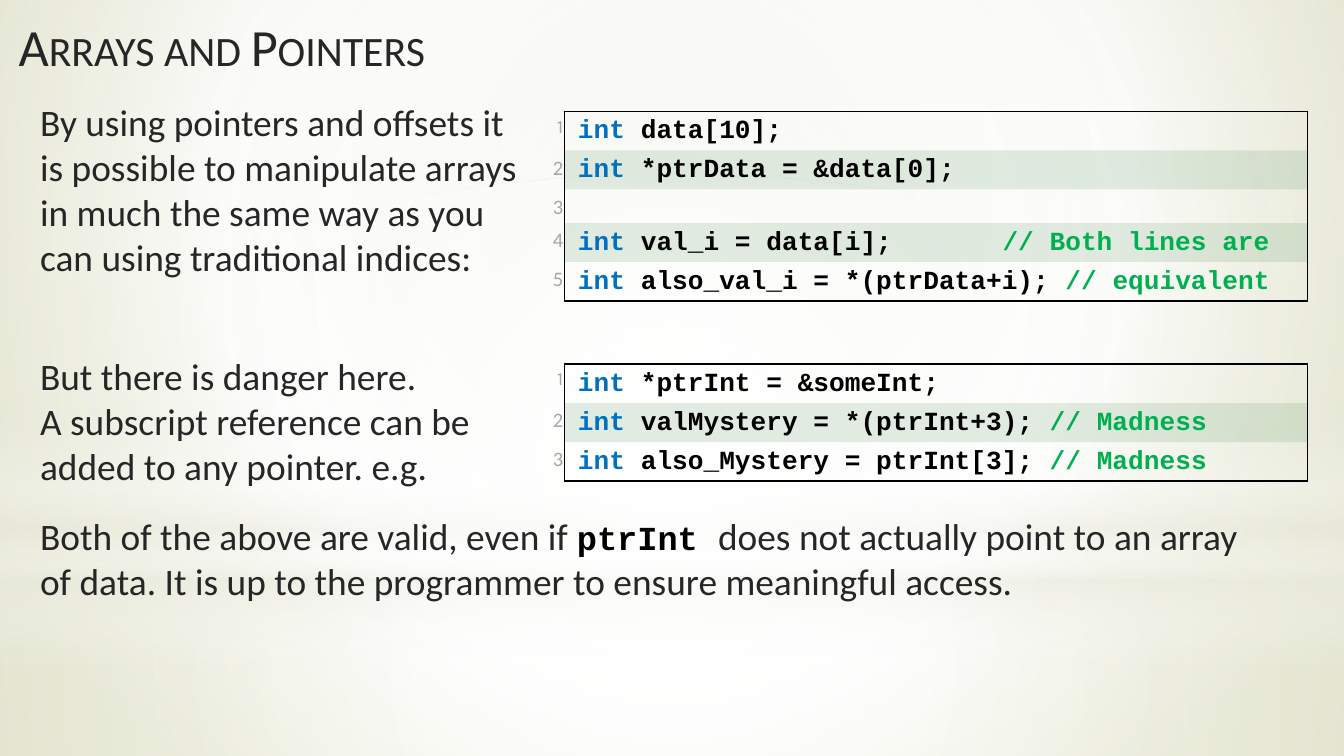
"""Build the "Arrays and Pointers" slide with its two code listings."""
from lxml import etree
from pptx import Presentation
from pptx import util as u
from pptx.dml import color
from pptx.enum import shapes, text
from pptx.oxml import ns

COLOURS = {
    "white": "FFFFFF", "cream": "EAEBDE", "sage": "E3E5D1", "olive": "CCD09F",
    "body": "262626", "code": "000000", "keyword": "0070C0",
    "comment": "00B050", "number": "A6A6A6", "band": "72A376",
}
NO_STYLE = "{2D5ABB26-0587-4C30-8999-92F81FD0307C}"
ROW_HEIGHT, BLANK_HEIGHT = 0.29, 0.25
CENTRE = (50, 50, 50, 50)

ARRAY_CODE = [
    ("int ", "data[10];", ""),
    ("int ", "*ptrData = &data[0];", ""),
    (),
    ("int ", "val_i = data[i];       ", "// Both lines are"),
    ("int ", "also_val_i = *(ptrData+i); ", "// equivalent"),
]
POINTER_CODE = [
    ("int ", "*ptrInt = &someInt;", ""),
    ("int ", "valMystery = *(ptrInt+3); ", "// Madness"),
    ("int ", "also_Mystery = ptrInt[3]; ", "// Madness"),
]


def sub(parent, tag, **attrs):
    """Append a DrawingML child with the given attributes."""
    child = etree.SubElement(parent, ns.qn(tag))
    for key, value in attrs.items():
        child.set(key, str(value))
    return child


def add_run(p, words, size=20, font="Calibri", colour="body", bold=False, small_caps=False):
    """Add formatted text to a paragraph."""
    r = p.add_run()
    r.text = words
    r.font.size, r.font.name, r.font.bold = u.Pt(size), font, bold
    r.font.color.rgb = color.RGBColor.from_string(COLOURS[colour])
    if small_caps:
        r.font._element.set("cap", "small")


def add_box(s, left, top, width, height):
    """Add a wrapping text box and return its first paragraph."""
    tf = s.shapes.add_textbox(*map(u.Inches, (left, top, width, height))).text_frame
    tf.word_wrap = True
    return tf.paragraphs[0]


def set_gradient(fill, element, stops, centre=None):
    """Fill with (position, colour, opacity) stops, circular or top to bottom."""
    fill.gradient()
    grad = next(element.iter(ns.qn("a:gradFill")))
    for child in list(grad):
        grad.remove(child)
    stop_list = sub(grad, "a:gsLst")
    for position, name, opacity in stops:
        stop = sub(stop_list, "a:gs", pos=position * 1000)
        clr = sub(stop, "a:srgbClr", val=COLOURS[name])
        sub(clr, "a:alpha", val=opacity * 1000)
    if centre:
        focus = sub(grad, "a:path", path="circle")
        sub(focus, "a:fillToRect", **{k: v * 1000 for k, v in zip("ltrb", centre)})
    else:
        sub(grad, "a:lin", ang=5400000, scaled=0)


def add_glow(s, kind, top, height, stops, centre=None):
    """Add a full-width translucent gradient shape."""
    sp = s.shapes.add_shape(kind, 0, u.Inches(top), u.Inches(10), u.Inches(height))
    sp.shadow.inherit = False
    sp.line.fill.background()
    set_gradient(sp.fill, sp._element, stops, centre)


def add_backdrop(s):
    """Paint the background and its four layers of light."""
    rect, oval = shapes.MSO_SHAPE.RECTANGLE, shapes.MSO_SHAPE.OVAL
    fill = s.background.fill
    set_gradient(fill, s._element, [(0, "sage", 100), (60, "white", 100), (100, "olive", 100)],
                 (20, 10, 20, 60))
    add_glow(s, rect, 4.19, 1.44, [(0, "white", 91), (37, "white", 76), (100, "cream", 79)], CENTRE)
    add_glow(s, rect, 0, 4.19, [(0, "white", 89), (48, "white", 62), (100, "cream", 79)], CENTRE)
    add_glow(s, rect, 3.09, 1.88, [(0, "white", 0), (29, "white", 30), (45, "cream", 40),
                                   (55, "white", 26), (65, "cream", 60), (100, "white", 0)])
    add_glow(s, oval, 1.31, 4.19, [(0, "white", 100), (56, "white", 0)], CENTRE)


def format_cell(cell, sides, banded=False):
    """Set margins, fill and black borders of a cell; return its paragraph."""
    cell.margin_left = cell.margin_right = cell.margin_top = cell.margin_bottom = u.Inches(0.01)
    props = cell._tc.get_or_add_tcPr()
    for side in sides:
        line = sub(props, "a:ln" + side, w=u.Pt(1))
        sub(sub(line, "a:solidFill"), "a:srgbClr", val=COLOURS["code"])
    if banded:
        clr = sub(sub(props, "a:solidFill"), "a:srgbClr", val=COLOURS["band"])
        sub(clr, "a:alpha", val=20000)
    else:
        sub(props, "a:noFill")
    p = cell.text_frame.paragraphs[0]
    p.line_spacing = 1.15
    return p


def add_listing(s, top, lines):
    """Add a table of numbered code lines, every second one banded."""
    heights = [ROW_HEIGHT if line else BLANK_HEIGHT for line in lines]
    frame = s.shapes.add_table(len(lines), 2, u.Inches(3.35), u.Inches(top),
                               u.Inches(6.38), u.Inches(sum(heights)))
    table = frame.table
    table.first_row = table.horz_banding = False
    next(frame._element.iter(ns.qn("a:tableStyleId"))).text = NO_STYLE
    table.columns[0].width, table.columns[1].width = u.Inches(0.85), u.Inches(5.53)
    for i, line in enumerate(lines):
        table.rows[i].height = u.Inches(heights[i])
        p = format_cell(table.cell(i, 0), "R")
        p.alignment = text.PP_ALIGN.RIGHT
        add_run(p, str(i + 1), size=11 if i else 10, font="Calibri" if i else "Karla",
                colour="number")
        sides = "LR" + ("T" if i == 0 else "") + ("B" if i == len(lines) - 1 else "")
        p = format_cell(table.cell(i, 1), sides, banded=i % 2 == 1)
        p._p.get_or_add_pPr().set("marL", str(u.Inches(0.09)))
        for words, colour in zip(line, ("keyword", "code", "comment")):
            if words:
                add_run(p, words, size=14, font="Courier New", colour=colour, bold=True)
        if not line:
            sub(p._p, "a:endParaRPr", sz=1100)


def main():
    """Create and save the slide."""
    prs = Presentation()
    prs.slide_width, prs.slide_height = u.Inches(10), u.Inches(10 * 9 / 16)
    s = prs.slides.add_slide(prs.slide_layouts[6])
    add_backdrop(s)

    p = add_box(s, 0.04, 0.06, 4.25, 0.63)
    add_run(p, "Arrays and Pointers", size=28, small_caps=True)

    p = add_box(s, 0.2, 0.69, 3.86, 1.45)
    add_run(p, "By using pointers and offsets it is possible to manipulate arrays "
               "in much the same way as you can using traditional indices:")
    add_listing(s, 0.83, ARRAY_CODE)

    p = add_box(s, 0.2, 2.58, 3.86, 1.11)
    add_run(p, "But there is danger here.")
    p.add_line_break()
    add_run(p, "A subscript reference can be added to any pointer. e.g.")
    add_listing(s, 2.71, POINTER_CODE)

    p = add_box(s, 0.2, 3.77, 9.13, 0.77)
    add_run(p, "Both of the above are valid, even if ")
    add_run(p, "ptrInt ", size=18, font="Courier New", colour="code", bold=True)
    add_run(p, "does not actually point to an array of data. "
               "It is up to the programmer to ensure meaningful access.")
    prs.save("out.pptx")


if __name__ == "__main__":
    main()
